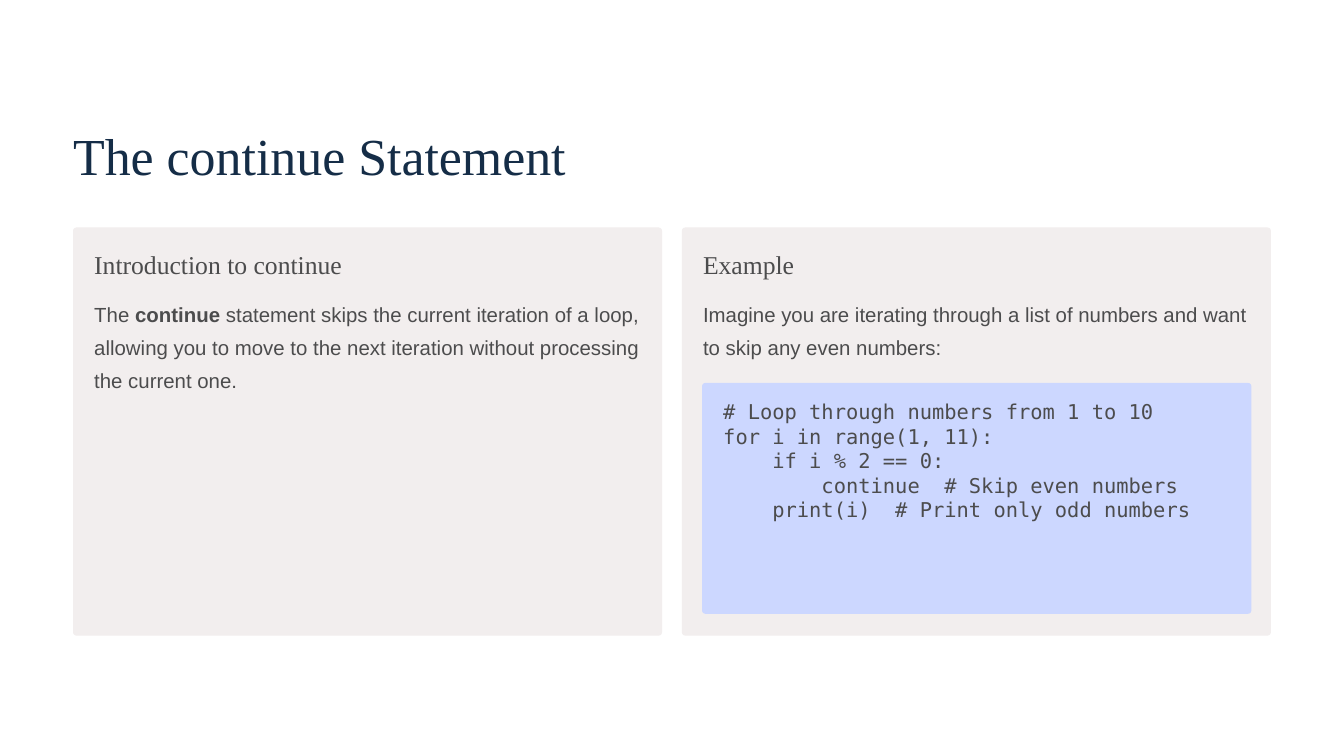
"""Builds a slide that explains the continue statement."""
import pptx
import pptx.dml.color
import pptx.enum.shapes
import pptx.enum.text
import pptx.util

Cm = pptx.util.Cm
Pt = pptx.util.Pt

HUES = {"title": "152D47", "text": "4C4C4D", "card": "F2EEEE", "code": "CCD7FF"}
SERIF, SANS, MONO = "Times New Roman", "Arial", "DejaVu Sans Mono"
LEFT, STEP, PAD = 2.21, 18.41, 0.64
CODE = """# Loop through numbers from 1 to 10
for i in range(1, 11):
    if i % 2 == 0:
        continue  # Skip even numbers
    print(i)  # Print only odd numbers"""


def paint(name):
    """Return the named colour."""
    return pptx.dml.color.RGBColor.from_string(HUES[name])


def place(shape, x, y, w, h):
    """Move and size a shape, in centimetres."""
    shape.left, shape.top, shape.width, shape.height = Cm(x), Cm(y), Cm(w), Cm(h)


def style(frame, face, size, pitch, hue="text", wrap=True):
    """Format all text in a frame."""
    frame.margin_left = frame.margin_right = 0
    frame.margin_top = frame.margin_bottom = 0
    frame.word_wrap = wrap
    frame.auto_size = pptx.enum.text.MSO_AUTO_SIZE.NONE
    frame.vertical_anchor = pptx.enum.text.MSO_ANCHOR.TOP
    for para in frame.paragraphs:
        para.alignment = pptx.enum.text.PP_ALIGN.LEFT
        para.line_spacing = Pt(pitch)
        for run in para.runs:
            run.font.name = face
            run.font.size = Pt(size)
            run.font.color.rgb = paint(hue)


def panel(slide, x, y, w, h, hue, bend):
    """Add a filled rounded box."""
    kind = pptx.enum.shapes.MSO_SHAPE.ROUNDED_RECTANGLE
    box = slide.shapes.add_shape(kind, Cm(x), Cm(y), Cm(w), Cm(h))
    box.adjustments[0] = bend
    box.shadow.inherit = False
    box.fill.solid()
    box.fill.fore_color.rgb = paint(hue)
    box.line.fill.background()


def label(slide, x, y, w, h, parts, face, size, pitch, wrap=True):
    """Add a text box whose odd parts are bold."""
    frame = slide.shapes.add_textbox(Cm(x), Cm(y), Cm(w), Cm(h)).text_frame
    lines = parts[0].split("\n")
    frame.text = "\n".join(lines)
    for index, part in enumerate(parts[1:], 1):
        run = frame.paragraphs[-1].add_run()
        run.text = part
        run.font.bold = index % 2 == 1
    style(frame, face, size, pitch, wrap=wrap)


def card(slide, x, head, parts, high):
    """Add a card with a heading and a text."""
    panel(slide, x, 6.88, 17.81, 12.34, "card", 0.008)
    label(slide, x + PAD, 7.49, 8, 1, [head], SERIF, 22, 27.5, wrap=False)
    label(slide, x + PAD, 8.86, 16.54, high, parts, SANS, 17.5, 28.5)


def main():
    """Build and save the slide."""
    deck = pptx.Presentation()
    deck.slide_width, deck.slide_height = Cm(40.64), Cm(22.86)
    slide = deck.slides.add_slide(deck.slide_layouts[5])
    title = slide.shapes.title
    place(title, LEFT, 3.66, 15.75, 1.98)
    title.text_frame.text = "The continue Statement"
    style(title.text_frame, SERIF, 44.5, 55.5, "title", wrap=False)

    card(slide, LEFT, "Introduction to continue", [
        "The ", "continue",
        " statement skips the current iteration of a loop, allowing you to move"
        " to the next iteration without processing the current one."], 3.02)
    card(slide, LEFT + STEP, "Example", [
        "Imagine you are iterating through a list of numbers and want to skip"
        " any even numbers:"], 2.01)
    panel(slide, 21.23, 11.58, 16.61, 6.98, "code", 0.014)
    label(slide, 21.87, 12.07, 15.34, 6.05, [CODE], MONO, 17.5, 21)
    deck.save("out.pptx")


if __name__ == "__main__":
    main()
